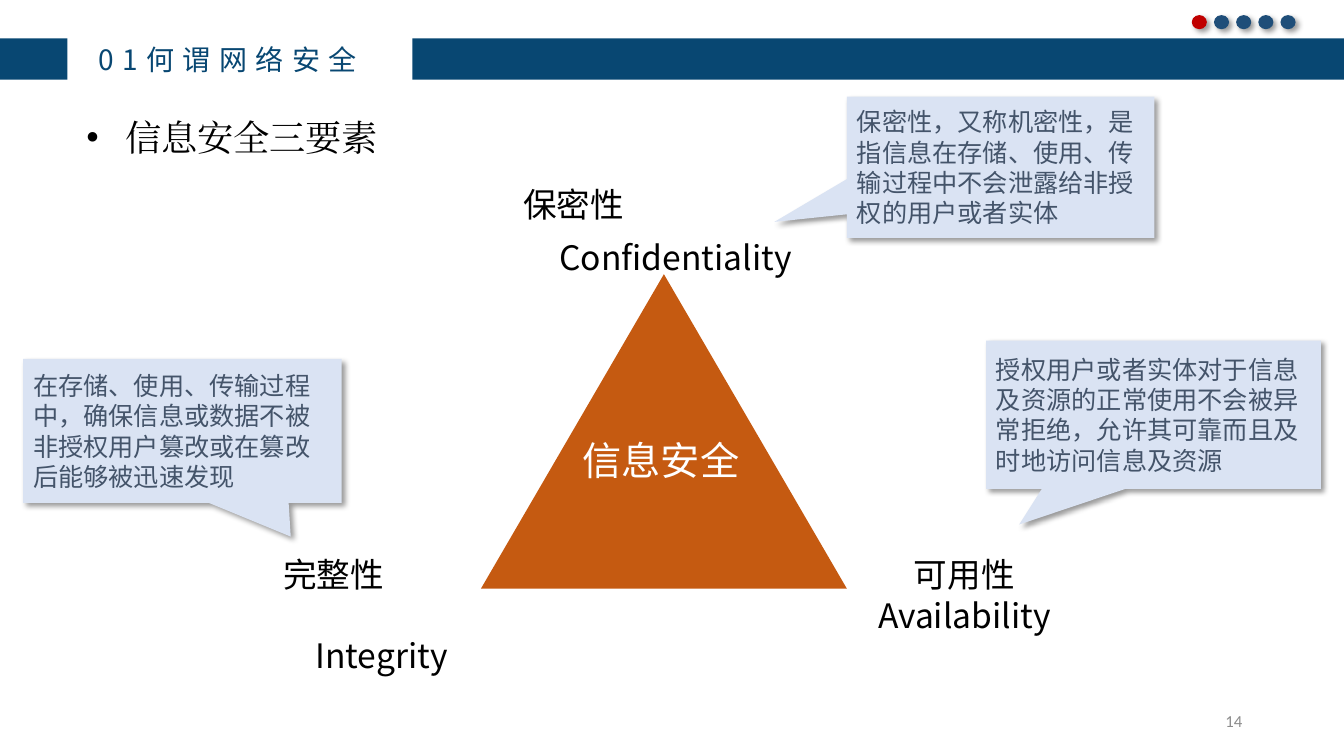
from lxml.etree import SubElement
from pptx import Presentation
from pptx.dml.color import RGBColor
from pptx.enum.shapes import MSO_SHAPE
from pptx.enum.text import MSO_ANCHOR, MSO_AUTO_SIZE, PP_ALIGN
from pptx.oxml.ns import qn
from pptx.util import Inches, Pt

NAVY = RGBColor(0x08, 0x47, 0x72)
BLUE = RGBColor(0x1F, 0x4E, 0x79)
RED = RGBColor(0xC0, 0x00, 0x00)
RUST = RGBColor(0xC5, 0x5A, 0x11)
PALE = RGBColor(0xDA, 0xE3, 0xF3)
SLATE = RGBColor(0x44, 0x54, 0x6A)
GREY = RGBColor(0x8C, 0x8C, 0x8C)
BLACK = RGBColor(0, 0, 0)
WHITE = RGBColor(0xFF, 0xFF, 0xFF)
SANS = "Noto Sans CJK SC"
LEFT, MID, RIGHT = PP_ALIGN.LEFT, PP_ALIGN.CENTER, PP_ALIGN.RIGHT

TITLE = "01何谓网络安全"
TOPIC = "信息安全三要素"
CORE = "信息安全"
PAGE = "14"
LABELS = [
    ((5.06, 1.66, 3.06, 1.1), ["保密性", "Confidentiality"], LEFT, (0.03, 0.39), 1.3, 0),
    ((2.68, 5.45, 2, 1.4), ["完整性", "Integrity"], LEFT, (0.03, 0.35), 1, 28.5),
    ((8.58, 5.45, 1.97, 0.91), ["可用性", "Availability"], MID, (0, 0), 1, 0),
]
NOTES = [
    ((8.4, 0.96, 3.05, 1.4), (-0.736, 0.387),
     "保密性，又称机密性，是指信息在存储、使用、传输过程中不会泄露给非授权的用户或者实体"),
    ((0.23, 3.56, 3.16, 1.43), (0.34, 0.734),
     "在存储、使用、传输过程中，确保信息或数据不被非授权用户篡改或在篡改后能够被迅速发现"),
    ((9.78, 3.38, 3.32, 1.47), (-0.401, 0.741),
     "授权用户或者实体对于信息及资源的正常使用不会被异常拒绝，允许其可靠而且及时地访问信息及资源"),
]
BARS = [(4.09, 0.38, 9.24, 0.41), (0, 0.38, 0.67, 0.41)]
DOTS = [RED] + [BLUE] * 4


def place(shape, box):
    for key, val in zip(("left", "top", "width", "height"), box):
        setattr(shape, key, Inches(val))


def write(shape, lines, size, color, name=SANS, align=LEFT, anchor=MSO_ANCHOR.TOP,
          wrap=True, gap=1, space=0, track=0):
    frame = shape.text_frame
    form = {"word_wrap": wrap, "auto_size": MSO_AUTO_SIZE.NONE, "vertical_anchor": anchor}
    for key, val in form.items():
        setattr(frame, key, val)
    for num, line in enumerate(lines):
        para = frame.add_paragraph() if num else frame.paragraphs[0]
        form = {"alignment": align, "line_spacing": gap,
                "space_before": Pt(space if num else 0)}
        for key, val in form.items():
            setattr(para, key, val)
        run = para.add_run()
        run.text = line
        for key, val in {"name": name, "size": Pt(size)}.items():
            setattr(run.font, key, val)
        run.font.color.rgb = color
        props = run.font._element
        SubElement(props, qn("a:ea")).set("typeface", name)
        if track:
            props.set("spc", str(track))
    return frame.paragraphs


def draw(kind, box, fill, shade=False):
    shape = slide.shapes.add_shape(kind, *map(Inches, box))
    shape.shadow.inherit = False
    shape.fill.solid()
    shape.fill.fore_color.rgb = fill
    shape.line.fill.background()
    if shade:
        glow = SubElement(shape._element.spPr.find(qn("a:effectLst")), qn("a:outerShdw"))
        form = {"blurRad": Pt(4), "dist": Pt(3), "dir": 45 * 60000,
                "algn": "tl", "rotWithShape": 0}
        for key, val in form.items():
            glow.set(key, str(val))
        tint = SubElement(glow, qn("a:srgbClr"), val="000000")
        SubElement(tint, qn("a:alpha"), val="40000")
    return shape


def text(box, *args, **form):
    return write(slide.shapes.add_textbox(*map(Inches, box)), *args, **form)


deck = Presentation()
deck.slide_width, deck.slide_height = Inches(13.33), Inches(7.5)
slide = deck.slides.add_slide(deck.slide_layouts[1])
title, body = slide.placeholders

place(title, (0.75, 0.37, 2.89, 0.44))
write(title, [TITLE], 20, NAVY, align=RIGHT, wrap=False, track=600)

place(body, (0.75, 1.01, 3.83, 0.65))
topic = write(body, [TOPIC], 25.9, BLACK, name="Times New Roman", gap=1.2, track=-10)[0]
props = topic._p.get_or_add_pPr()
for key, val in {"marL": Inches(0.39), "indent": -Inches(0.39)}.items():
    props.set(key, str(val))
SubElement(props, qn("a:buSzPct"), val="110000")
SubElement(props, qn("a:buFont"), typeface="Times New Roman")
SubElement(props, qn("a:buChar"), char="•")

for box, lines, align, dents, gap, space in LABELS:
    paras = text(box, lines, 24, BLACK, align=align, gap=gap, space=space)
    for para, dent in zip(paras, dents):
        para._p.get_or_add_pPr().set("marL", str(Inches(dent)))

draw(MSO_SHAPE.ISOSCELES_TRIANGLE, (4.77, 2.72, 3.63, 3.12), RUST)
text((5.68, 4.28, 1.81, 0.57), [CORE], 28, WHITE)

for box, tip, line in NOTES:
    note = draw(MSO_SHAPE.RECTANGULAR_CALLOUT, box, PALE, True)
    for num, val in enumerate(tip):
        note.adjustments[num] = val
    write(note, [line], 18, SLATE, anchor=MSO_ANCHOR.MIDDLE)

for box in BARS:
    draw(MSO_SHAPE.RECTANGLE, box, NAVY)
for num, fill in enumerate(DOTS):
    draw(MSO_SHAPE.OVAL, (11.82 + 0.22 * num, 0.15, 0.15, 0.14), fill, True)

text((9.42, 6.95, 3, 0.4), [PAGE], 12, GREY, name="Calibri", align=RIGHT,
     anchor=MSO_ANCHOR.MIDDLE)
deck.save("out.pptx")
